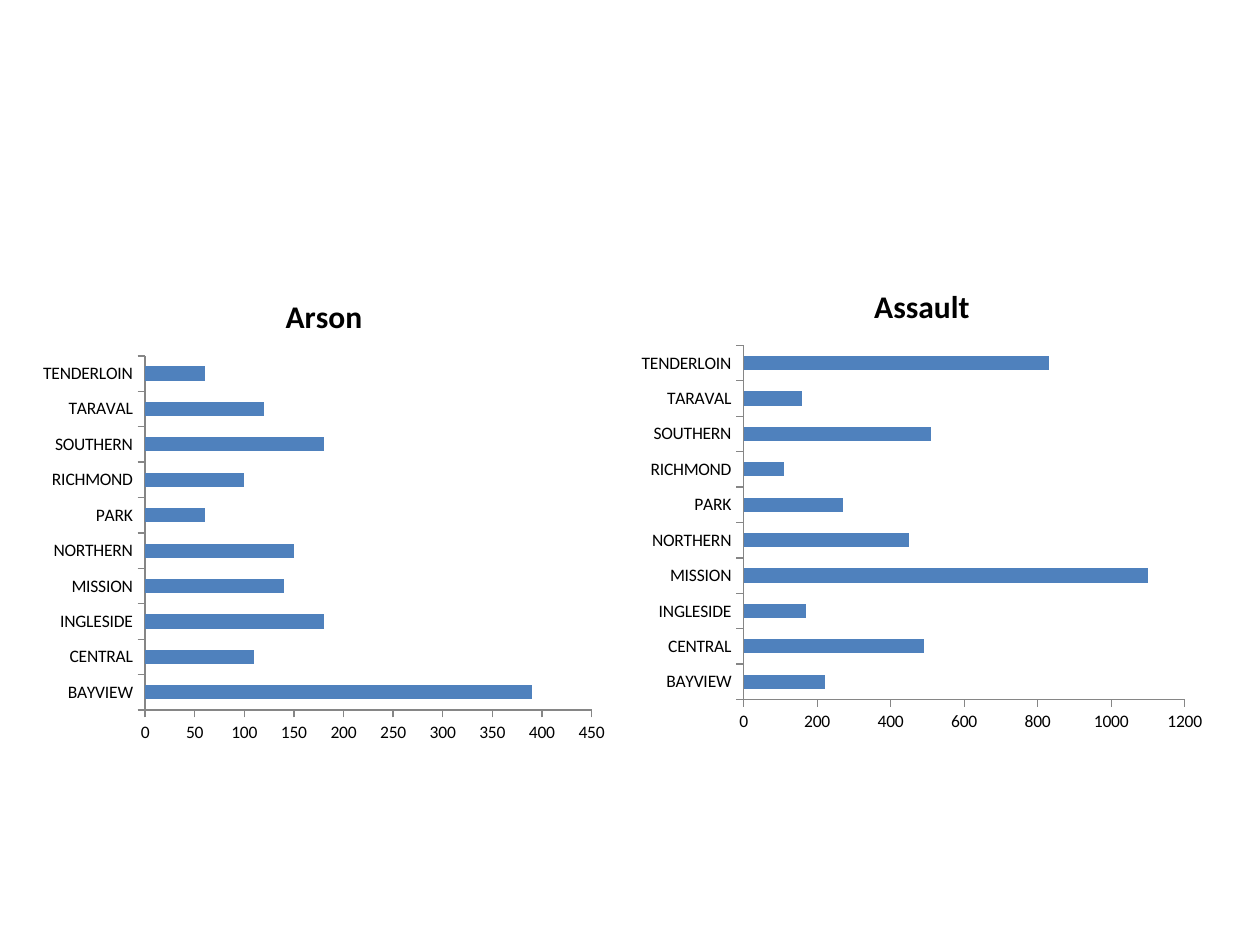
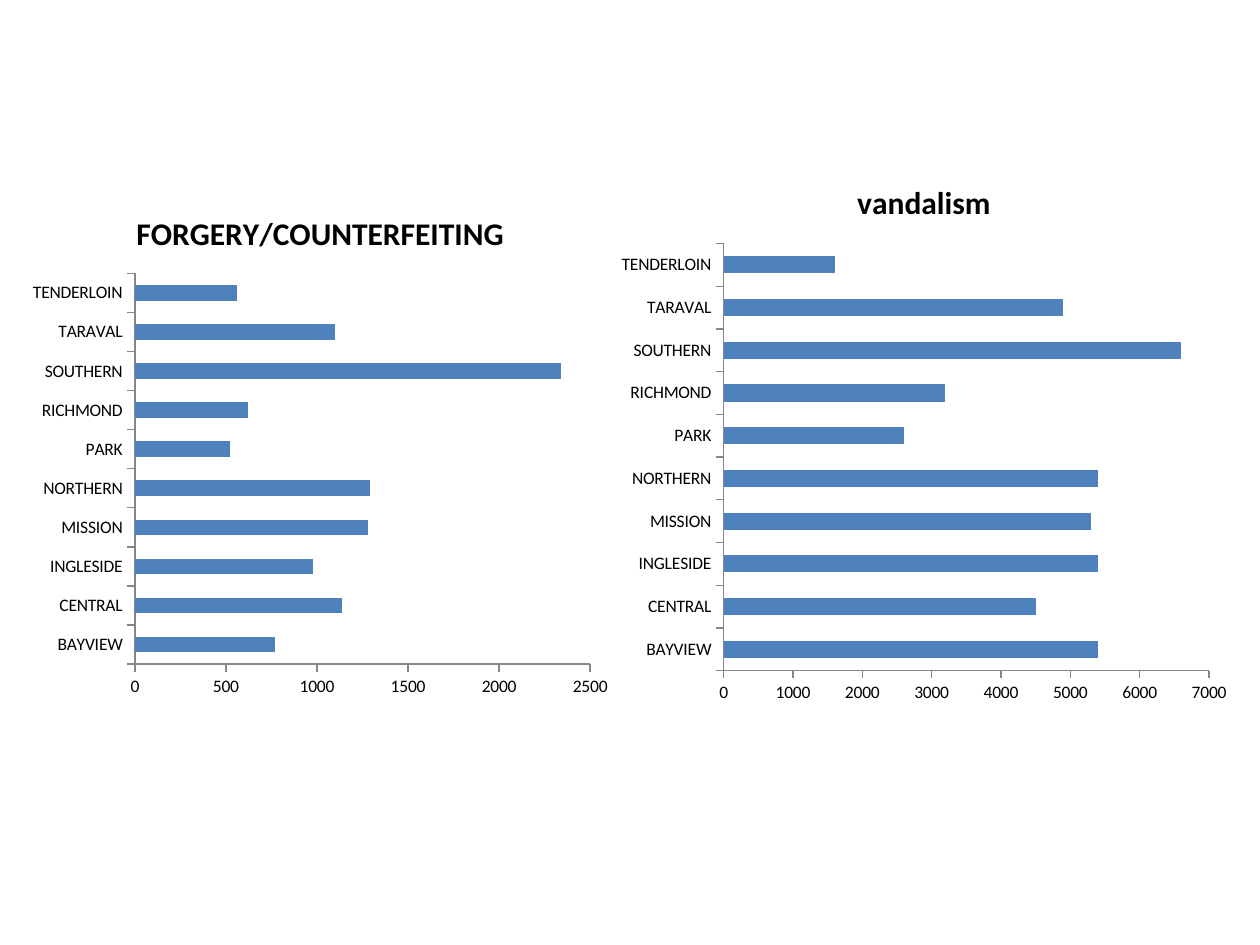
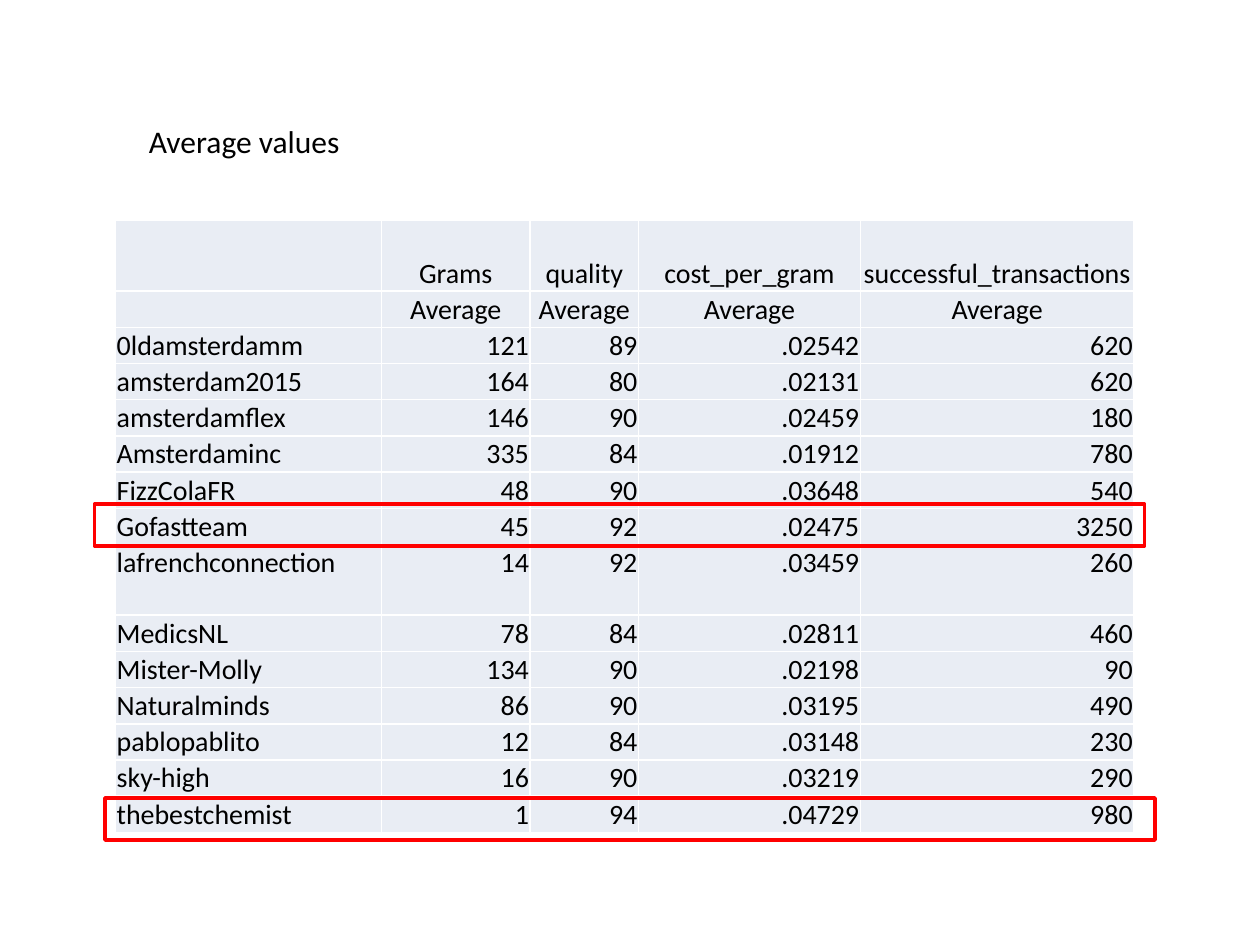
from lxml.etree import SubElement as Sub
from pptx import Presentation
from pptx.chart.data import CategoryChartData as Data
from pptx.dml.color import RGBColor as RGB
from pptx.enum.chart import XL_CHART_TYPE as Kind, XL_TICK_MARK as Tick
from pptx.enum.shapes import MSO_SHAPE as Shape
from pptx.enum.text import MSO_ANCHOR as Anchor, MSO_AUTO_SIZE as Auto, PP_ALIGN as Align
from pptx.oxml.ns import qn
from pptx.util import Inches, Pt

HUES = {"ink": "000000", "bar": "4F81BD", "axis": "868686",
        "cell": "E9EDF4", "edge": "FFFFFF", "mark": "FF0000"}
FACE = "Calibri"
WIDE, HIGH = Inches(10), Inches(7.5)
COLS, ROWS = 120, 90

AREAS = ["BAYVIEW", "CENTRAL", "INGLESIDE", "MISSION", "NORTHERN",
         "PARK", "RICHMOND", "SOUTHERN", "TARAVAL", "TENDERLOIN"]
CHARTS = [
    [("Arson", (3, 26, 55.7, 45.6), 450, 50,
      [390, 110, 180, 140, 150, 60, 100, 180, 120, 60]),
     ("Assault", (60, 25, 55.6, 45.6), 1200, 200,
      [220, 490, 170, 1100, 450, 270, 110, 510, 160, 830])],
    [("FORGERY/COUNTERFEITING", (2, 18, 57, 49.3), 2500, 500,
      [770, 1140, 980, 1280, 1290, 520, 620, 2340, 1100, 560]),
     ("vandalism", (58, 15, 60, 53), 7000, 1000,
      [5400, 4500, 5400, 5300, 5400, 2600, 3200, 6600, 4900, 1600])],
]
SHARES = [2.11, 1.18, 0.86, 1.76, 2.17]
TALL = {0: 1.95, 8: 1.95}
HEADS = 2
SALES = [
    ("", "Grams", "quality", "cost_per_gram", "successful_transactions"),
    ("", "Average", "Average", "Average", "Average"),
    ("0ldamsterdamm", "121", "89", ".02542", "620"),
    ("amsterdam2015", "164", "80", ".02131", "620"),
    ("amsterdamflex", "146", "90", ".02459", "180"),
    ("Amsterdaminc", "335", "84", ".01912", "780"),
    ("FizzColaFR", "48", "90", ".03648", "540"),
    ("Gofastteam", "45", "92", ".02475", "3250"),
    ("lafrenchconnection", "14", "92", ".03459", "260"),
    ("MedicsNL", "78", "84", ".02811", "460"),
    ("Mister-Molly", "134", "90", ".02198", "90"),
    ("Naturalminds", "86", "90", ".03195", "490"),
    ("pablopablito", "12", "84", ".03148", "230"),
    ("sky-high", "16", "90", ".03219", "290"),
    ("thebestchemist", "1", "94", ".04729", "980"),
]


def hue(name):
    """Return a named colour."""
    return RGB.from_string(HUES[name])


def place(box):
    """Turn a box in grid columns and rows into slide lengths."""
    left, top, wide, high = box
    return [int(n) for n in (left * WIDE / COLS, top * HIGH / ROWS,
                             wide * WIDE / COLS, high * HIGH / ROWS)]


def style(font, size, bold=False):
    """Give a font the shared face and ink."""
    font.name, font.size, font.bold = FACE, Pt(size), bold
    font.color.rgb = hue("ink")


def draw_bars(slide, title, box, top, step, vals):
    """Draw a titled bar chart of the areas in the box."""
    data = Data()
    data.categories = AREAS
    data.add_series("Series 1", vals)
    chart = slide.shapes.add_chart(Kind.BAR_CLUSTERED, *place(box), data).chart
    style(chart.font, 10)
    chart.has_legend = False
    chart.has_title = True
    frame = chart.chart_title.text_frame
    frame.text = title
    style(frame.paragraphs[0].runs[0].font, 18, True)
    plot = chart.plots[0]
    plot.gap_width, plot.vary_by_categories = 150, False
    fill = plot.series[0].format.fill
    fill.solid()
    fill.fore_color.rgb = hue("bar")
    for axis in (chart.category_axis, chart.value_axis):
        axis.has_major_gridlines = False
        axis.major_tick_mark, axis.minor_tick_mark = Tick.OUTSIDE, Tick.NONE
        axis.format.line.color.rgb = hue("axis")
    axis.minimum_scale, axis.maximum_scale, axis.major_unit = 0, top, step


def edge_cell(cell):
    """Draw thin lines on the four sides of a cell."""
    props = cell._tc.get_or_add_tcPr()
    for side in ("lnL", "lnR", "lnT", "lnB"):
        line = Sub(props, qn(f"a:{side}"), w=str(Pt(1)))
        Sub(Sub(line, qn("a:solidFill")), qn("a:srgbClr"), val=HUES["edge"])


def fill_cell(cell, text, align, head):
    """Write and style one table cell."""
    edge_cell(cell)
    cell.fill.solid()
    cell.fill.fore_color.rgb = hue("cell")
    cell.margin_left = cell.margin_right = cell.margin_top = Inches(0.01)
    cell.margin_bottom = 0
    if head:
        cell.vertical_anchor = Anchor.BOTTOM
    cell.text_frame.text = text
    para = cell.text_frame.paragraphs[0]
    para.alignment = align
    for run in para.runs:
        style(run.font, 16)
    if not text:
        Sub(para._p, qn("a:endParaRPr"), sz="1600")


def draw_table(slide, box):
    """Draw the table of sellers, sharing the box among its lines."""
    spot = place(box)
    table = slide.shapes.add_table(len(SALES), len(SHARES), *spot).table
    table.first_row = table.horz_banding = False
    for col, share in zip(table.columns, SHARES):
        col.width = int(spot[2] * share / sum(SHARES))
    parts = [TALL.get(i, 1) for i in range(len(SALES))]
    for r, (row, part) in enumerate(zip(table.rows, parts)):
        row.height = int(spot[3] * part / sum(parts))
        head = r < HEADS
        for c, text in enumerate(SALES[r]):
            align = Align.CENTER if head else Align.RIGHT if c else Align.LEFT
            fill_cell(table.cell(r, c), text, align, head)


def draw_label(slide, text, box):
    """Write a heading line in the box."""
    frame = slide.shapes.add_textbox(*place(box)).text_frame
    frame.word_wrap, frame.auto_size = True, Auto.SHAPE_TO_FIT_TEXT
    frame.text = text
    style(frame.paragraphs[0].runs[0].font, 18)


def draw_mark(slide, box):
    """Outline the box to stress a table row."""
    rect = slide.shapes.add_shape(Shape.RECTANGLE, *place(box))
    rect.shadow.inherit = False
    rect.fill.background()
    rect.line.color.rgb = hue("mark")
    rect.line.width = Pt(2)


def main():
    """Build the slides and save them."""
    deck = Presentation()
    deck.slide_width, deck.slide_height = WIDE, HIGH
    blank = deck.slide_layouts[6]
    for pair in CHARTS:
        slide = deck.slides.add_slide(blank)
        for spec_row in pair:
            draw_bars(slide, *spec_row)
    slide = deck.slides.add_slide(blank)
    draw_table(slide, (11, 21, 97, 58.3))
    draw_label(slide, "Average values", (13, 11, 49, 4.8))
    for left, top in ((10, 76), (9, 48)):
        draw_mark(slide, (left, top, 100, 4))
    deck.save("out.pptx")


if __name__ == "__main__":
    main()
